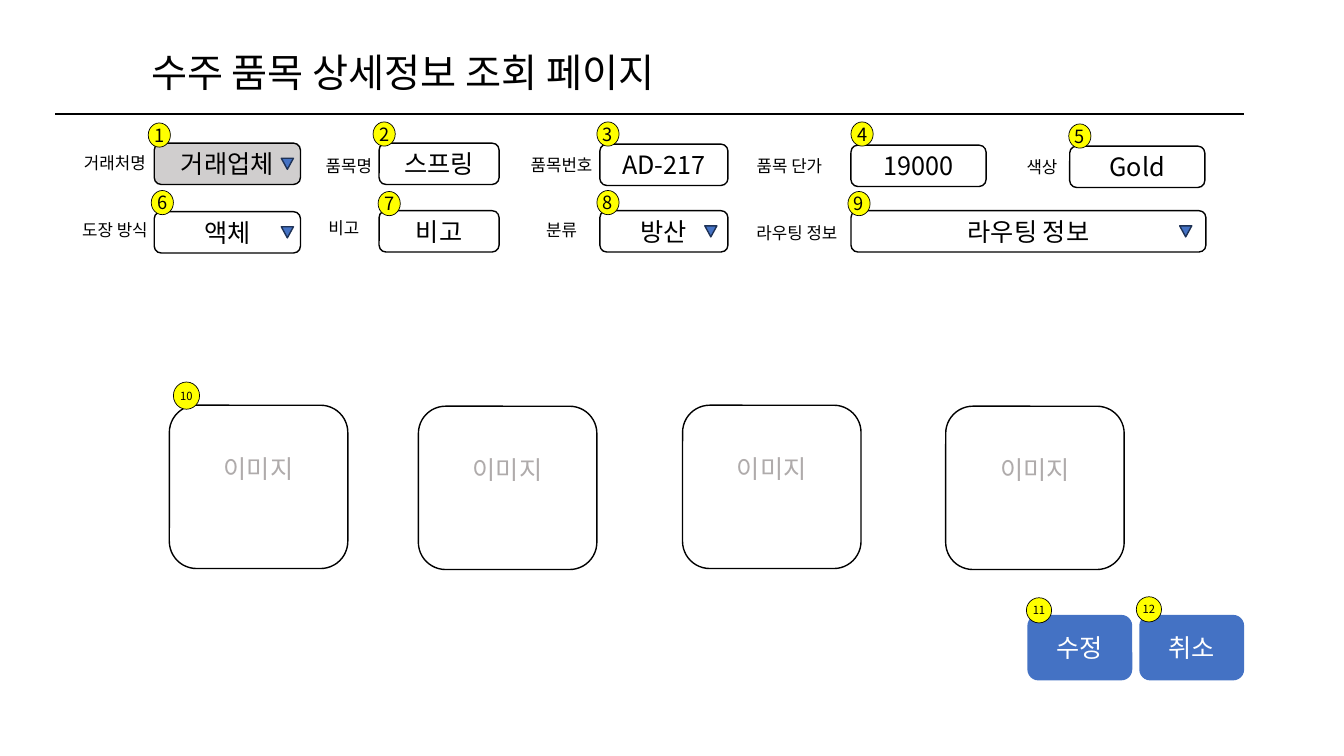
from dataclasses import dataclass

from pptx import Presentation
from pptx.dml.color import RGBColor
from pptx.enum.shapes import MSO_CONNECTOR, MSO_SHAPE
from pptx.enum.text import MSO_ANCHOR, PP_ALIGN
from pptx.oxml.ns import qn
from pptx.util import Inches, Pt

FONT = "Noto Sans CJK KR"
BLACK, WHITE, GRAY = "000000", "FFFFFF", "D0CECE"
BLUE, NAVY, YELLOW, PALE_TEXT = "4472C4", "1E3256", "FFFF00", "AFABAB"
FIELD_HEIGHT = 0.41


@dataclass
class Field:
    """One labelled input; positions are (left, top, width) in inches."""
    label: str
    label_at: tuple
    value: str
    box_at: tuple
    badge_at: tuple
    arrow_left: float = None
    fill: str = WHITE


FIELDS = [
    Field("거래처명", (0.58, 1.41, 1.12), "거래업체", (1.53, 1.42, 1.45), (1.47, 1.22), 2.79, GRAY),
    Field("품목명", (2.9, 1.44, 1.12), "스프링", (3.76, 1.42, 1.19), (3.7, 1.21)),
    Field("품목번호", (5.01, 1.43, 1.12), "AD-217", (5.95, 1.43, 1.27), (5.92, 1.21)),
    Field("품목 단가", (7.27, 1.44, 1.12), "19000", (8.44, 1.44, 1.34), (8.44, 1.21)),
    Field("색상", (9.9, 1.45, 0.87), "Gold", (10.61, 1.45, 1.34), (10.6, 1.23)),
    Field("도장 방식", (0.58, 2.07, 1.12), "액체", (1.53, 2.1, 1.45), (1.5, 1.89), 2.79),
    Field("비고", (2.85, 2.06, 1.12), "비고", (3.76, 2.09, 1.19), (3.75, 1.9)),
    Field("분류", (5.01, 2.07, 1.12), "방산", (5.95, 2.09, 1.27), (5.92, 1.89), 6.99),
    Field("라우팅 정보", (7.27, 2.1, 1.27), "라우팅 정보", (8.44, 2.09, 3.52), (8.41, 1.9), 11.7),
]
IMAGE_SLOTS = [(1.68, 4.02), (4.15, 4.03), (6.77, 4.02), (9.38, 4.03)]
BUTTONS = [("수정", 10.19, (10.18, 5.93)), ("취소", 11.3, (11.27, 5.92))]


def color(value):
    return RGBColor.from_string(value)


def write(frame, text, size, text_color=BLACK, align=PP_ALIGN.CENTER):
    para = frame.paragraphs[0]
    para.alignment = align
    span = para.add_run()
    span.text = text
    for name, value in {"name": FONT, "size": Pt(size)}.items():
        setattr(span.font, name, value)
    span.font.color.rgb = color(text_color)
    east_asian = span.font._element.makeelement(qn("a:ea"), {"typeface": FONT})
    span.font._element.append(east_asian)


def add_box(page, kind, at, fill=None, line=None, line_width=1):
    shape = page.shapes.add_shape(kind, *map(Inches, at))
    shape.shadow.inherit = False
    if fill:
        shape.fill.solid()
        shape.fill.fore_color.rgb = color(fill)
    else:
        shape.fill.background()
    if line:
        shape.line.color.rgb = color(line)
        shape.line.width = Pt(line_width)
    else:
        shape.line.fill.background()
    shape.text_frame.vertical_anchor = MSO_ANCHOR.MIDDLE
    return shape


def add_badge(page, number, at, diameter=(0.22, 0.24), size=13):
    badge = add_box(page, MSO_SHAPE.FLOWCHART_CONNECTOR, (*at, *diameter),
                    YELLOW, BLACK, 0.5)
    frame = badge.text_frame
    for side in ("left", "right", "top", "bottom"):
        setattr(frame, f"margin_{side}", 0)
    frame.word_wrap = False
    write(frame, str(number), size)


def add_title(page, text):
    title = page.shapes.add_textbox(*map(Inches, (1.4, 0.43, 7.6, 0.57)))
    title.text_frame.word_wrap = True
    write(title.text_frame, text, 28, align=PP_ALIGN.LEFT)
    ends = map(Inches, (0.55, 1.13, 12.34, 1.13))
    rule = page.shapes.add_connector(MSO_CONNECTOR.STRAIGHT, *ends)
    rule.line.color.rgb = color(BLACK)
    rule.line.width = Pt(1.5)
    properties = rule._element.spPr
    properties.append(properties.makeelement(qn("a:effectLst"), {}))


def add_field(page, number, field):
    rounded = MSO_SHAPE.ROUNDED_RECTANGLE
    box = add_box(page, rounded, (*field.box_at, FIELD_HEIGHT), field.fill, BLACK)
    write(box.text_frame, field.value, 18)
    label = add_box(page, rounded, (*field.label_at, FIELD_HEIGHT))
    write(label.text_frame, field.label, 12)
    if field.arrow_left:
        arrow_at = (field.arrow_left, field.box_at[1] + 0.15, 0.12, 0.11)
        add_box(page, MSO_SHAPE.FLOWCHART_MERGE, arrow_at, BLUE, NAVY)
    add_badge(page, number, field.badge_at)


def add_image_slot(page, at):
    slot = add_box(page, MSO_SHAPE.ROUNDED_RECTANGLE, (*at, 1.77, 1.62), WHITE, BLACK)
    slot.text_frame.margin_bottom = Inches(0.41)
    write(slot.text_frame, "이미지", 18, PALE_TEXT)


def add_button(page, text, left):
    button = add_box(page, MSO_SHAPE.ROUNDED_RECTANGLE, (left, 6.1, 1.04, 0.65), BLUE)
    write(button.text_frame, text, 18, WHITE)


def main():
    deck = Presentation()
    deck.slide_width, deck.slide_height = Inches(13.33), Inches(7.5)
    page = deck.slides.add_slide(deck.slide_layouts[6])

    add_title(page, "수주 품목 상세정보 조회 페이지")
    for number, field in enumerate(FIELDS, 1):
        add_field(page, number, field)
    for at in IMAGE_SLOTS:
        add_image_slot(page, at)
    add_badge(page, 10, (1.72, 3.79), (0.26, 0.27), 8)
    for number, (text, left, badge_at) in enumerate(BUTTONS, 11):
        add_button(page, text, left)
        add_badge(page, number, badge_at, (0.25, 0.25), 8)

    deck.save("out.pptx")


if __name__ == "__main__":
    main()
